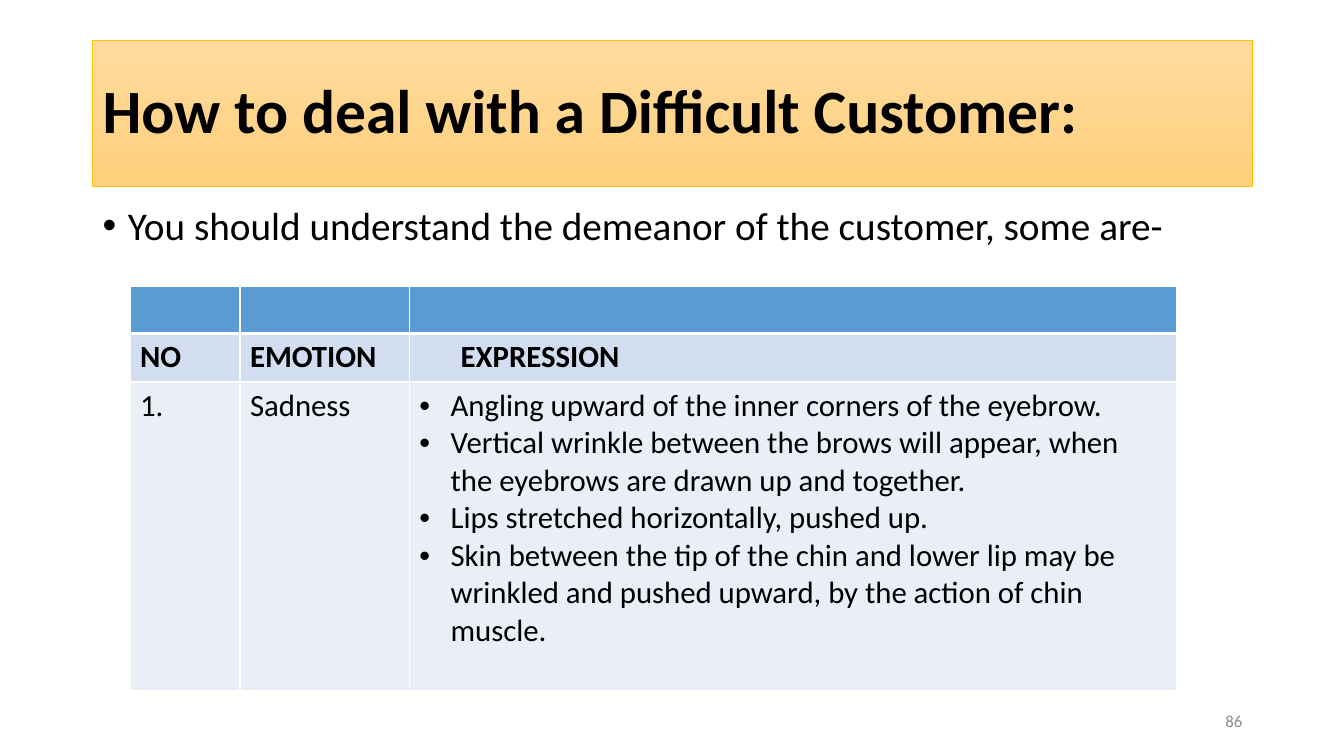
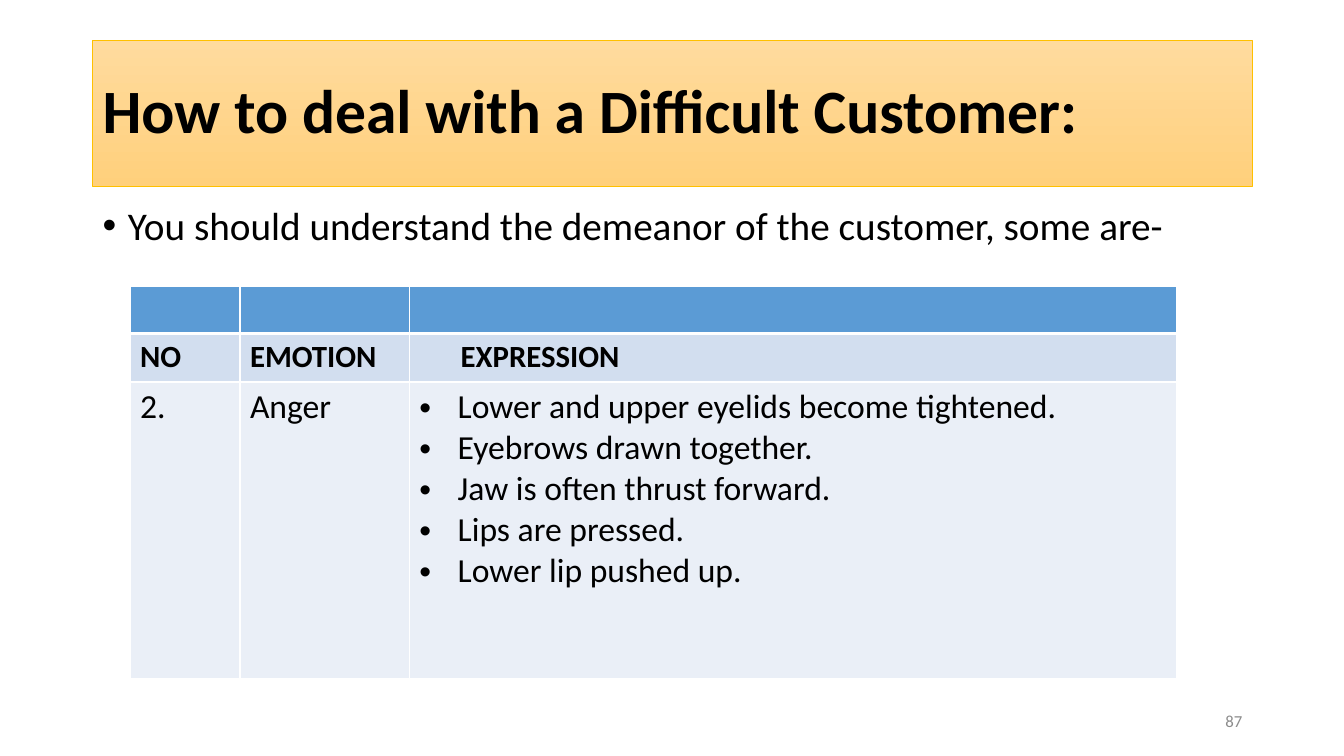
"""Build two slides on reading a difficult customer's emotions."""
from lxml import etree
from pptx import Presentation, util as u
from pptx.dml.color import RGBColor
from pptx.enum import shapes, text
from pptx.oxml import ns

TITLE = "How to deal with a Difficult Customer:"
LEAD = "You should understand the demeanor of the customer, some are-"
HEADS = ["NO", "EMOTION", "EXPRESSION"]
PAGES = [
    dict(page="86", no="1.", mood="Sadness", size=22, hang=0.31, tall=3.06, signs=[
        "Angling upward of the inner corners of the eyebrow.",
        "Vertical wrinkle between the brows will appear, when the eyebrows are drawn up and together.",
        "Lips stretched horizontally, pushed up.",
        "Skin between the tip of the chin and lower lip may be wrinkled and pushed upward, "
        "by the action of chin muscle."]),
    dict(page="87", no="2.", mood="Anger", size=24, hang=0.38, tall=2.94, signs=[
        "Lower and upper eyelids become tightened.",
        "Eyebrows drawn together.",
        "Jaw is often thrust forward.",
        "Lips are pressed.",
        "Lower lip pushed up."]),
]
FONT = "Calibri"
BLACK, WHITE, GRAY, GOLD = "000000", "FFFFFF", "8C8C8C", "FFC000"
BAND = ["FFDB9E", "FFD07C"]
FILLS = ["5B9BD5", "D2DEEF", "EAEFF7"]
LEFT, WIDE = 0.92, 11.5
COLS, ROWS = [1.09, 1.68, 7.61], [0.47, 0.48]


def rgb(code):
    return RGBColor.from_string(code)


def box(*dims):
    return [u.Inches(d) for d in dims]


def node(top, tag, **attrs):
    return etree.SubElement(top, ns.qn(tag), attrs)


def write(par, words, size, color=BLACK, bold=False):
    run = par.add_run()
    run.text = words
    font = run.font
    font.name, font.size, font.bold = FONT, u.Pt(size), bold
    font.color.rgb = rgb(color)


def inset(par, left, hang=0):
    props = par._p.get_or_add_pPr()
    props.set("marL", str(u.Inches(left)))
    props.set("indent", str(-u.Inches(hang)))
    if hang:
        node(props, "a:buFont", typeface="Arial")
        node(props, "a:buChar", char="•")


def edge(cell, row):
    props = cell._tc.get_or_add_tcPr()
    thick = {("B", 0), ("T", 1)}
    for side in "LRTB":
        width = 3 if (side, row) in thick else 1
        line = node(props, "a:ln" + side, w=str(u.Pt(width)))
        node(node(line, "a:solidFill"), "a:srgbClr", val=WHITE)


def banner(slide):
    band = slide.shapes.add_shape(shapes.MSO_SHAPE.RECTANGLE, *box(LEFT, 0.4, WIDE, 1.45))
    band.shadow.inherit = False
    band.fill.gradient()
    band.fill.gradient_angle = 270
    for stop, code, pos in zip(band.fill.gradient_stops, BAND, (0, 1)):
        stop.color.rgb, stop.position = rgb(code), pos
    band.line.color.rgb, band.line.width = rgb(GOLD), u.Pt(0.5)
    frame = band.text_frame
    frame.word_wrap = True
    frame.vertical_anchor = text.MSO_ANCHOR.MIDDLE
    par = frame.paragraphs[0]
    par.alignment, par.line_spacing = text.PP_ALIGN.LEFT, 0.9
    write(par, TITLE, 44, bold=True)


def label(slide, dims):
    frame = slide.shapes.add_textbox(*box(*dims)).text_frame
    frame.word_wrap = True
    return frame


def grid(slide, data):
    rows = ROWS + [data["tall"]]
    table = slide.shapes.add_table(
        len(rows), len(COLS), *box(1.29, 2.84, sum(COLS), sum(rows))).table
    table.horz_banding = False
    for col, width in zip(table.columns, COLS):
        col.width = u.Inches(width)
    for r, tall in enumerate(rows):
        table.rows[r].height = u.Inches(tall)
        for cell in table.rows[r].cells:
            edge(cell, r)
            cell.fill.solid()
            cell.fill.fore_color.rgb = rgb(FILLS[r])
    for c, head in enumerate(HEADS):
        write(table.cell(1, c).text_frame.paragraphs[0], head, 22, bold=True)
    inset(table.cell(1, 2).text_frame.paragraphs[0], 0.41)
    for c, lines in enumerate([[data["no"]], [data["mood"]], data["signs"]]):
        frame = table.cell(2, c).text_frame
        for i, line in enumerate(lines):
            par = frame.add_paragraph() if i else frame.paragraphs[0]
            if c == 2:
                inset(par, data["hang"], data["hang"])
            write(par, line, data["size"])


def build(deck, data):
    slide = deck.slides.add_slide(deck.slide_layouts[6])
    banner(slide)
    lead = label(slide, (LEFT, 2, WIDE, 0.7)).paragraphs[0]
    inset(lead, 0.25, 0.25)
    lead.line_spacing = 0.9
    write(lead, LEAD, 28)
    foot = label(slide, (LEFT + WIDE - 3, 6.95, 3, 0.4))
    foot.vertical_anchor = text.MSO_ANCHOR.MIDDLE
    foot.paragraphs[0].alignment = text.PP_ALIGN.RIGHT
    write(foot.paragraphs[0], data["page"], 12, GRAY)
    grid(slide, data)


def main():
    deck = Presentation()
    deck.slide_width, deck.slide_height = box(13.33, 7.5)
    for data in PAGES:
        build(deck, data)
    deck.save("out.pptx")


if __name__ == "__main__":
    main()
